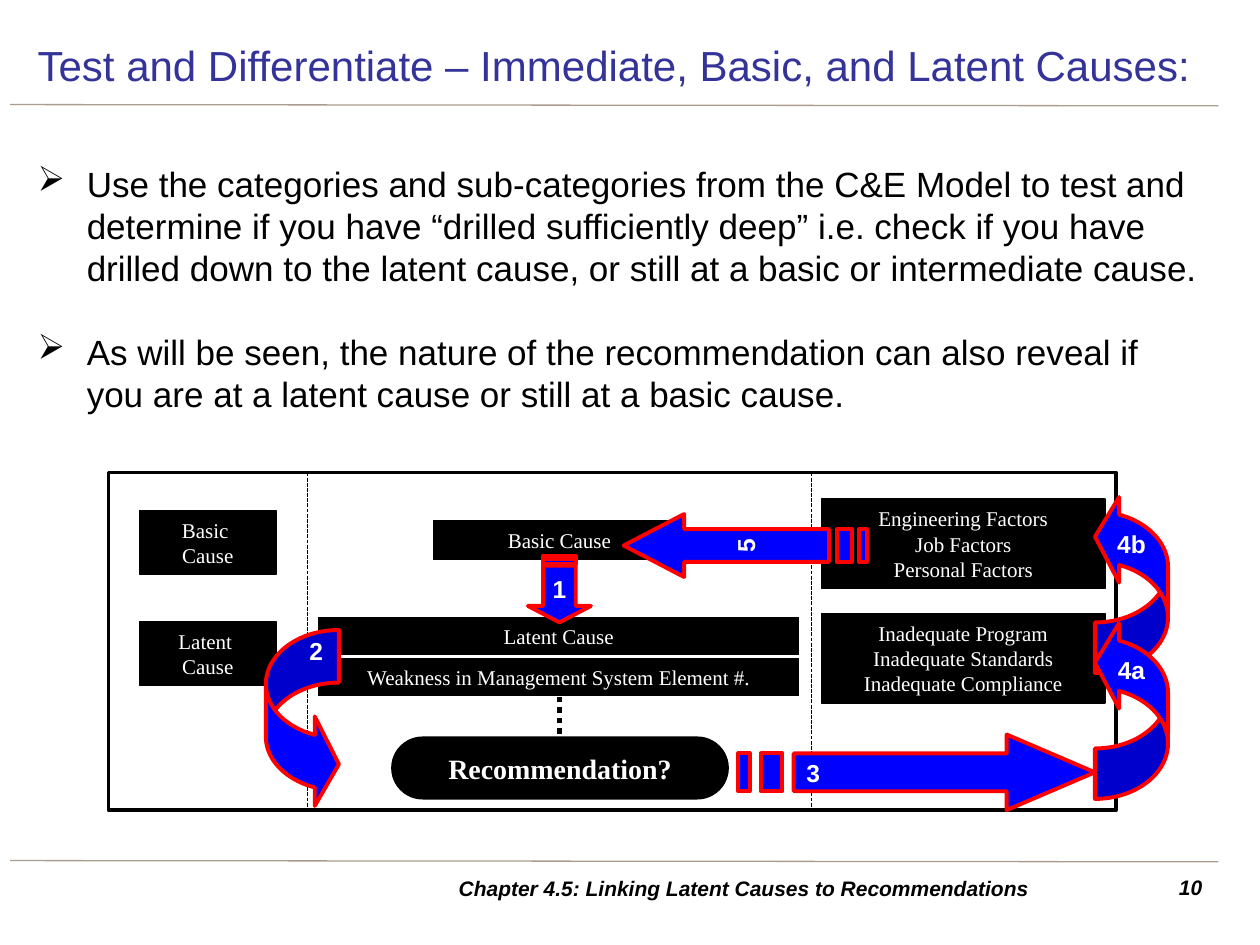
import dataclasses

import lxml.etree
import pptx
import pptx.dml.color
import pptx.enum.dml
import pptx.enum.shapes
import pptx.enum.text
import pptx.oxml.ns
import pptx.util

Inches = pptx.util.Inches
Pt = pptx.util.Pt
SHAPE = pptx.enum.shapes.MSO_SHAPE
ALIGN = pptx.enum.text.PP_ALIGN
ANCHOR = pptx.enum.text.MSO_ANCHOR
DASH = pptx.enum.dml.MSO_LINE


@dataclasses.dataclass(frozen=True)
class Theme:
    sans: str = "Arial"
    serif: str = "Times New Roman"
    title: str = "333399"
    ink: str = "000000"
    paper: str = "FFFFFF"
    rule: str = "AA9C8F"
    arrow: str = "0000FF"
    arrow_edge: str = "FF0000"
    title_size: int = 24
    body_size: int = 20
    recommendation_size: int = 16
    step_size: int = 14
    small_size: int = 12


THEME = Theme()


def rgb(value):
    return pptx.dml.color.RGBColor.from_string(value)


def write(paragraph, text, size, color, font=THEME.sans, bold=False, italic=False):
    """Add one run per line, with line breaks between them."""
    for number, line in enumerate(text.split("\n")):
        if number:
            paragraph.add_line_break()
        run = paragraph.add_run()
        run.text = line
        run.font.name, run.font.size = font, Pt(size)
        run.font.bold, run.font.italic = bold, italic
        run.font.color.rgb = rgb(color)


def style(shape, fill, edge, width):
    shape.shadow.inherit = False
    shape.fill.solid()
    shape.fill.fore_color.rgb = rgb(fill)
    shape.line.color.rgb = rgb(edge)
    shape.line.width = Pt(width)


def set_frame(shape, anchor, left=0.1, top=0.05, right=0.1):
    frame = shape.text_frame
    frame.word_wrap = True
    frame.vertical_anchor = anchor
    frame.margin_left, frame.margin_right = Inches(left), Inches(right)
    frame.margin_top, frame.margin_bottom = Inches(top), Inches(0.05)
    return frame


def add_text(slide, box, text, size, color, align=ALIGN.LEFT, anchor=ANCHOR.MIDDLE, **look):
    frame = set_frame(slide.shapes.add_textbox(*map(Inches, box)), anchor)
    frame.paragraphs[0].alignment = align
    write(frame.paragraphs[0], text, size, color, **look)


def add_bullets(slide, box, items):
    frame = set_frame(slide.shapes.add_textbox(*map(Inches, box)), ANCHOR.TOP, top=0.38)
    for number, item in enumerate(items):
        paragraph = frame.add_paragraph() if number else frame.paragraphs[0]
        properties = paragraph._p.get_or_add_pPr()
        properties.set("marL", str(Inches(0.39)))
        properties.set("indent", str(-Inches(0.39)))
        lxml.etree.SubElement(properties, pptx.oxml.ns.qn("a:buChar")).set("char", "➢")
        if number:
            paragraph.space_before = Pt(24)
        write(paragraph, item, THEME.body_size, THEME.ink)


def add_line(slide, start, end, color, width, dash=None):
    line = slide.shapes.add_connector(
        pptx.enum.shapes.MSO_CONNECTOR.STRAIGHT, *map(Inches, start + end))
    line.line.color.rgb = rgb(color)
    line.line.width = Pt(width)
    if dash:
        line.line.dash_style = dash
    lxml.etree.SubElement(line._element.spPr, pptx.oxml.ns.qn("a:effectLst"))


def add_cause(slide, box, text, edge=THEME.ink, kind=SHAPE.RECTANGLE,
              size=THEME.small_size, bold=False):
    cause = slide.shapes.add_shape(kind, *map(Inches, box))
    style(cause, THEME.ink, edge, 0.75)
    if kind == SHAPE.ROUNDED_RECTANGLE:
        cause.adjustments[0] = 0.5
    paragraph = set_frame(cause, ANCHOR.MIDDLE).paragraphs[0]
    paragraph.alignment = ALIGN.CENTER
    write(paragraph, text, size, THEME.paper, THEME.serif, bold)


def add_step(arrow, step, align=ALIGN.CENTER, anchor=ANCHOR.MIDDLE, **margins):
    style(arrow, THEME.arrow, THEME.arrow_edge, 2.25)
    paragraph = set_frame(arrow, anchor, **margins).paragraphs[0]
    paragraph.alignment = align
    write(paragraph, step, THEME.step_size, THEME.paper, bold=True)


def add_curved_arrow(slide, corner, adjustments, step, turned=False, **margins):
    arrow = slide.shapes.add_shape(
        SHAPE.CURVED_RIGHT_ARROW, *map(Inches, corner + (0.58, 1.42)))
    for index, value in enumerate(adjustments):
        arrow.adjustments[index] = value
    add_step(arrow, step, anchor=ANCHOR.TOP, **margins)
    if turned:
        arrow.rotation = 180
        # Keep the number upright inside the turned arrow
        arrow.text_frame._txBody.bodyPr.set("rot", "10800000")


def add_striped_arrow(slide, tip, direction, head, half_head, half_shaft, tail, stripes):
    """Distances run backwards from the tip, half widths run across the arrow."""
    (x, y), (dx, dy) = tip, direction

    def place(back, across):
        return Inches(x - back * dx - across * dy), Inches(y - back * dy + across * dx)

    outlines = [[(0, 0), (head, half_head), (head, half_shaft), (tail, half_shaft),
                 (tail, -half_shaft), (head, -half_shaft), (head, -half_head)]]
    for near, far in stripes:
        outlines.append([(near, half_shaft), (far, half_shaft),
                         (far, -half_shaft), (near, -half_shaft)])
    builder = slide.shapes.build_freeform(*place(*outlines[0][0]), scale=1.0)
    for number, outline in enumerate(outlines):
        points = [place(*point) for point in outline]
        if number:
            builder.move_to(*points[0])
        builder.add_line_segments(points[1:], close=True)
    return builder.convert_to_shape()


def main():
    deck = pptx.Presentation()
    deck.slide_width, deck.slide_height = Inches(10), Inches(7.5)
    slide = deck.slides.add_slide(deck.slide_layouts[6])

    # Rules, title, bullets and footer
    for y in (0.83, 6.83):
        add_line(slide, (0.08, y), (9.67, y + 0.01), THEME.rule, 0.75)
    add_bullets(slide, (0.2, 0.91, 9.45, 5.83), [
        "Use the categories and sub-categories from the C&E Model to test and determine "
        "if you have “drilled sufficiently deep” i.e. check if you have drilled down to "
        "the latent cause, or still at a basic or intermediate cause.",
        "As will be seen, the nature of the recommendation can also reveal if you are at "
        "a latent cause or still at a basic cause."])
    add_text(slide, (0.2, 0.24, 9.45, 0.55), "Test and Differentiate – Immediate, Basic, "
             "and Latent Causes:", THEME.title_size, THEME.title)
    add_text(slide, (9.06, 6.89, 0.58, 0.31), "10", THEME.small_size, THEME.ink,
             ALIGN.RIGHT, ANCHOR.TOP, bold=True, italic=True)
    add_text(slide, (2.95, 6.89, 5.91, 0.31), "Chapter 4.5: Linking Latent Causes to "
             "Recommendations", THEME.small_size, THEME.ink, ALIGN.CENTER,
             bold=True, italic=True)

    # Diagram panel and causes
    panel = slide.shapes.add_shape(SHAPE.RECTANGLE, *map(Inches, (0.86, 3.75, 8, 2.68)))
    style(panel, THEME.paper, THEME.ink, 2)
    add_cause(slide, (3.44, 4.13, 2, 0.31), "Basic Cause")
    for y, text in ((4.89, "Latent Cause"),
                    (5.22, "Weakness in Management System Element #.")):
        add_cause(slide, (2.52, y, 3.83, 0.31), text, THEME.paper)
    for y, text in ((3.96, "Engineering Factors\nJob Factors\nPersonal Factors"),
                    (4.87, "Inadequate Program\nInadequate Standards\nInadequate Compliance")):
        add_cause(slide, (6.52, y, 2.25, 0.71), text)
    for y, text in ((4.05, "Basic \nCause"), (4.93, "Latent \nCause")):
        add_cause(slide, (1.11, y, 1.08, 0.51), text)

    # Links and column dividers
    add_line(slide, (4.44, 4.44), (4.44, 4.89), THEME.ink, 3)
    add_line(slide, (4.44, 5.53), (4.44, 5.85), THEME.ink, 3, DASH.ROUND_DOT)
    add_cause(slide, (3.11, 5.85, 2.67, 0.49), "Recommendation?",
              kind=SHAPE.ROUNDED_RECTANGLE, size=THEME.recommendation_size, bold=True)
    for x in (2.44, 6.44):
        add_line(slide, (x, 3.75), (x, 6.43), THEME.ink, 0.75, DASH.SQUARE_DOT)

    # Numbered arrows
    add_curved_arrow(slide, (2.11, 5), (0.72, 1.23, 0.33), "2", left=0.27, right=0.05)
    step_3 = add_striped_arrow(slide, (8.69, 6.13), (1, 0), 0.7, 0.3, 0.15, 2.39,
                               [(2.48, 2.65), (2.74, 2.83)])
    add_step(step_3, "3", ALIGN.LEFT, left=0.54)
    for y, step in ((3.92, "4b"), (4.92, "4a")):
        add_curved_arrow(slide, (8.69, y), (0.69, 1.17, 0.33), step, turned=True,
                         top=0.28, left=0.05, right=0.05)
    step_5 = add_striped_arrow(slide, (4.95, 4.33), (-1, 0), 0.48, 0.25, 0.13, 1.63,
                               [(1.69, 1.81), (1.87, 1.93)])
    add_step(step_5, "5")
    step_5.text_frame._txBody.bodyPr.set("vert", "vert270")
    step_1 = add_striped_arrow(slide, (4.44, 4.94), (0, 1), 0.13, 0.25, 0.13, 0.45,
                               [(0.46, 0.5), (0.51, 0.53)])
    add_step(step_1, "1")
    deck.save("out.pptx")


if __name__ == "__main__":
    main()
